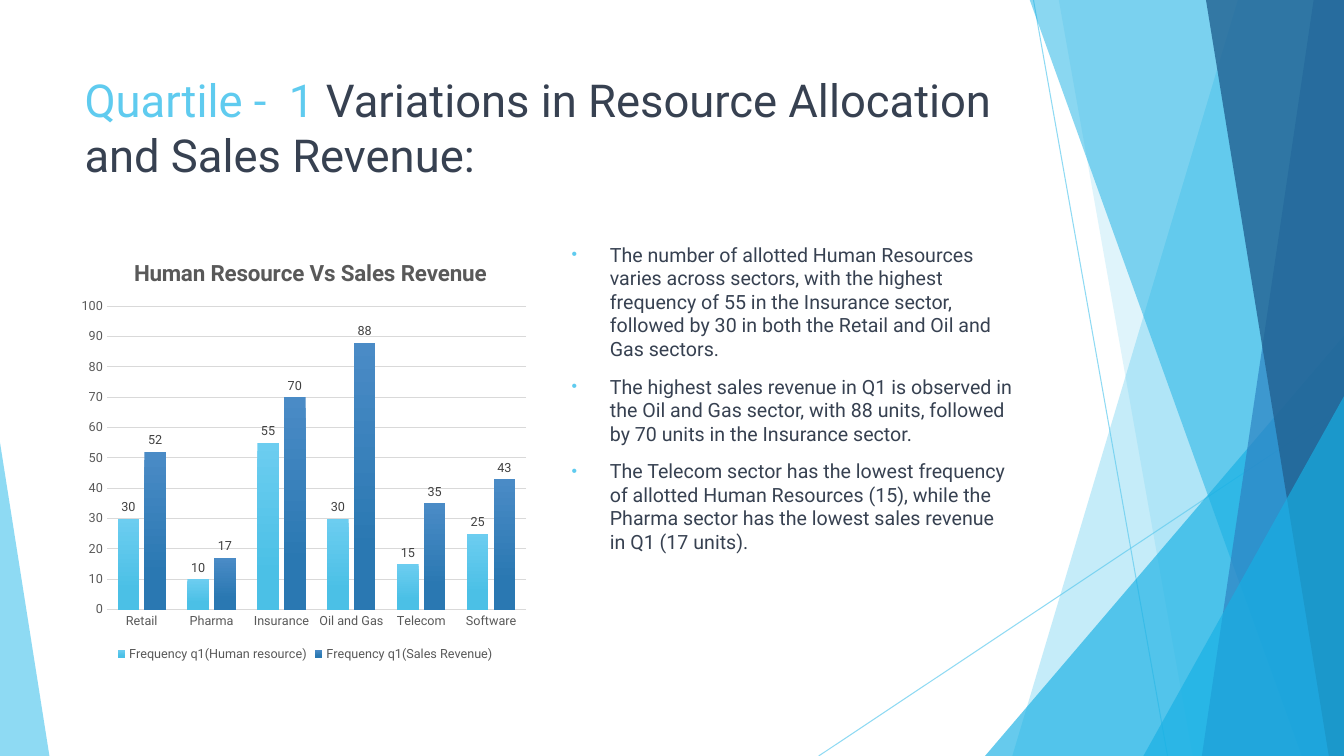
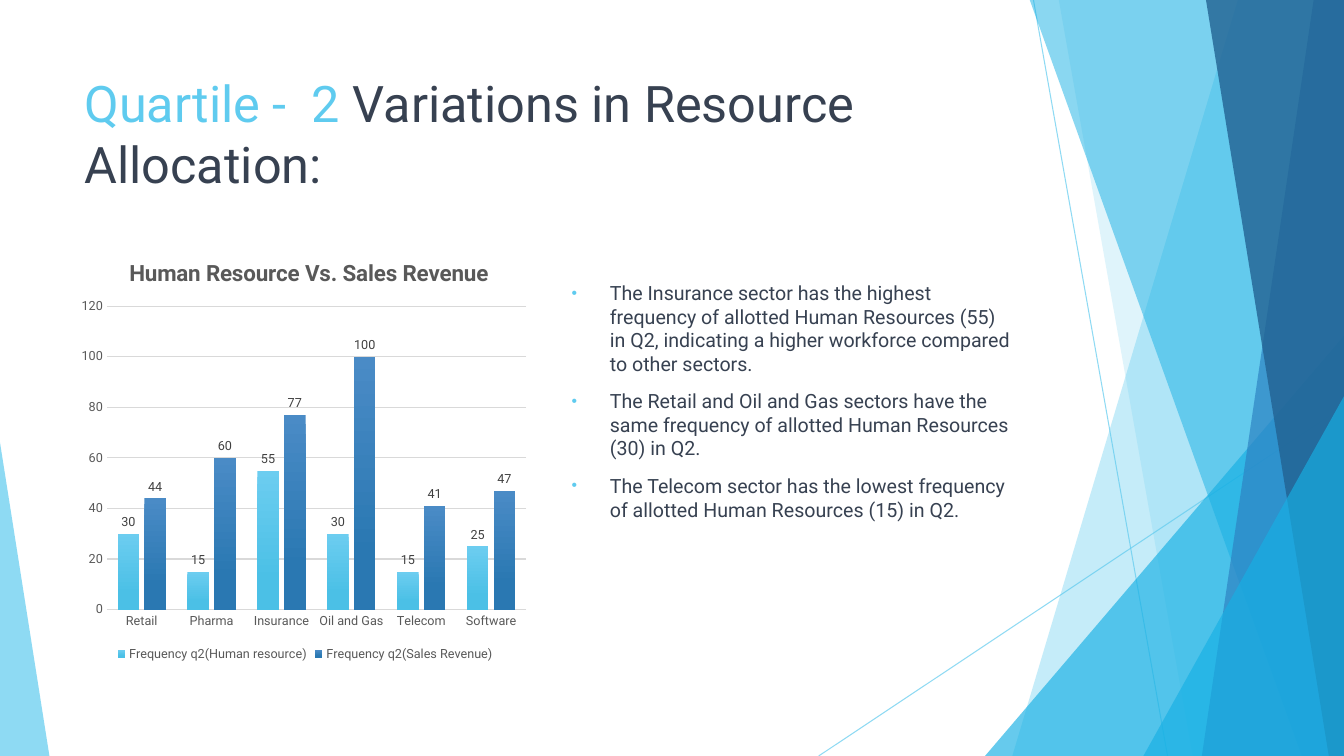
from pptx import Presentation
from pptx.chart.data import CategoryChartData
from pptx.dml.color import RGBColor
from pptx.enum.chart import XL_CHART_TYPE as ChartType, XL_LABEL_POSITION as LabelPos
from pptx.enum.chart import XL_LEGEND_POSITION as LegendPos, XL_TICK_MARK as Tick
from pptx.enum.shapes import MSO_CONNECTOR as Connector, MSO_SHAPE as Shape
from pptx.oxml.ns import qn
from pptx.util import Inches, Pt
from lxml.etree import SubElement

FONT = "Roboto"
SKY = RGBColor(0x5F, 0xCB, 0xEF)
CYAN = RGBColor(0x17, 0xB0, 0xE4)
BLUE = RGBColor(0x2E, 0x83, 0xC3)
NAVY = RGBColor(0x22, 0x62, 0x92)
INK = RGBColor(0x37, 0x41, 0x51)
GREY = RGBColor(0x59, 0x59, 0x59)
LABEL = RGBColor(0x40, 0x40, 0x40)
RULE = RGBColor(0xD9, 0xD9, 0xD9)
SERIES_GRADIENTS = [
    (RGBColor(0x6C, 0xCD, 0xF0), RGBColor(0x4B, 0xC0, 0xE6)),
    (RGBColor(0x4A, 0x8B, 0xC6), RGBColor(0x2A, 0x78, 0xB2)),
]
WIDTH, HEIGHT, BLEED = 13.33, 7.5, -0.01
LEFT, CONTENT_TOP, CONTENT_HEIGHT = 0.74, 2.36, 4.24
SECTORS = ["Retail", "Pharma", "Insurance", "Oil and Gas", "Telecom", "Software"]

QUARTERS = [
    {
        "number": 1, "title": "Variations in Resource Allocation and Sales Revenue:",
        "title_size": 32.4, "chart_title": "Human Resource Vs Sales Revenue",
        "chart_title_x": 0.12, "axis": (100, 10), "findings_top": CONTENT_TOP,
        "staff": [30, 10, 55, 30, 15, 25], "sales": [52, 17, 70, 88, 35, 43],
        "findings": [
            "The number of allotted Human Resources varies across sectors, with the highest frequency of 55 in the Insurance sector, followed by 30 in both the Retail and Oil and Gas sectors.",
            "The highest sales revenue in Q1 is observed in the Oil and Gas sector, with 88 units, followed by 70 units in the Insurance sector.",
            "The Telecom sector has the lowest frequency of allotted Human Resources (15), while the Pharma sector has the lowest sales revenue in Q1 (17 units).",
        ],
    },
    {
        "number": 2, "title": "Variations in Resource Allocation:",
        "title_size": 36, "chart_title": "Human Resource Vs. Sales Revenue",
        "chart_title_x": 0.11, "axis": (120, 20), "findings_top": 2.74,
        "staff": [30, 15, 55, 30, 15, 25], "sales": [44, 60, 77, 100, 41, 47],
        "findings": [
            "The Insurance sector has the highest frequency of allotted Human Resources (55) in Q2, indicating a higher workforce compared to other sectors.",
            "The Retail and Oil and Gas sectors have the same frequency of allotted Human Resources (30) in Q2.",
            "The Telecom sector has the lowest frequency of allotted Human Resources (15) in Q2.",
        ],
    },
]


def set_font(font, size, color, bold=False):
    font.name, font.size, font.bold = FONT, Pt(size), bold
    font.color.rgb = color


def set_alpha(element, percent):
    for color in element.spPr.iter(qn("a:srgbClr")):
        SubElement(color, qn("a:alpha"), val=str(percent * 1000))


def set_layout(parent, index, **values):
    layout = parent.find(qn("c:layout"))
    if layout is not None:
        parent.remove(layout)
    layout = parent.makeelement(qn("c:layout"), {})
    parent.insert(index, layout)
    manual = SubElement(layout, qn("c:manualLayout"))
    if "w" in values:
        SubElement(manual, qn("c:layoutTarget"), val="inner")
    for mode in ("xMode", "yMode"):
        SubElement(manual, qn(f"c:{mode}"), val="edge")
    for name, value in values.items():
        SubElement(manual, qn(f"c:{name}"), val=str(value))


class Deck:
    """Holds the faceted style and the slide being filled."""

    def __init__(self):
        self.prs = Presentation()
        self.prs.slide_width, self.prs.slide_height = Inches(WIDTH), Inches(HEIGHT)
        self.slide = None

    def new_slide(self):
        self.slide = self.prs.slides.add_slide(self.prs.slide_layouts[6])
        self.ray(10.25, 0, 11.58, HEIGHT)
        self.ray(WIDTH, 4.03, 8.12, HEIGHT)
        self.wedge(12.28, 10.04, SKY, 36)
        self.wedge(10.5, 11.83, SKY, 20)
        self.triangle(9.77, 3.33, 3.56, 1, CYAN, 66)
        self.wedge(10.21, 12.91, CYAN, 50)
        self.wedge(13.03, 11.92, BLUE, 70)
        self.wedge(11.96, 13.18, NAVY, 80)
        self.triangle(11.34, 3.93, 1.99, 1, CYAN, 66)
        self.triangle(0, 4.39, 0.49, 0, SKY, 70)

    def ray(self, *ends):
        ray = self.slide.shapes.add_connector(Connector.STRAIGHT, *map(Inches, ends))
        ray.line.color.rgb, ray.line.width = SKY, Pt(0.75)
        set_alpha(ray._element, 70)
        SubElement(ray._element.spPr, qn("a:effectLst"))

    def paint(self, facet, color, opacity):
        facet.shadow.inherit = False
        facet.fill.solid()
        facet.fill.fore_color.rgb = color
        facet.line.fill.background()
        set_alpha(facet._element, opacity)

    def wedge(self, top_x, bottom_x, color, opacity):
        outline = self.slide.shapes.build_freeform(Inches(top_x), Inches(BLEED))
        corners = [(WIDTH, BLEED), (WIDTH, HEIGHT), (bottom_x, HEIGHT)]
        outline.add_line_segments([(Inches(x), Inches(y)) for x, y in corners])
        self.paint(outline.convert_to_shape(), color, opacity)

    def triangle(self, left, top, width, apex, color, opacity):
        box = map(Inches, (left, top, width, HEIGHT - top))
        facet = self.slide.shapes.add_shape(Shape.ISOSCELES_TRIANGLE, *box)
        facet.adjustments[0] = apex
        self.paint(facet, color, opacity)

    def text_frame(self, *box):
        frame = self.slide.shapes.add_textbox(*map(Inches, box)).text_frame
        frame.word_wrap = True
        return frame

    def add_run(self, paragraph, text, size, color):
        run = paragraph.add_run()
        run.text = text
        set_font(run.font, size, color)

    def title(self, number, text, size):
        heading = self.text_frame(LEFT, 0.67, 9.4, 1.44).paragraphs[0]
        self.add_run(heading, f"Quartile -  {number} ", size, SKY)
        self.add_run(heading, text, size, INK)

    def findings(self, top, items):
        frame = self.text_frame(5.57, top, 4.58, CONTENT_TOP + CONTENT_HEIGHT - top)
        for index, item in enumerate(items):
            finding = frame.add_paragraph() if index else frame.paragraphs[0]
            props = finding._p.get_or_add_pPr()
            props.set("marL", str(Inches(0.38)))
            props.set("indent", str(-Inches(0.38)))
            bullet_color = SubElement(props, qn("a:buClr"))
            SubElement(bullet_color, qn("a:srgbClr"), val=str(SKY))
            SubElement(props, qn("a:buSzPct"), val="80000")
            SubElement(props, qn("a:buFont"), typeface="Arial")
            SubElement(props, qn("a:buChar"), char="•")
            if index:
                finding.space_before = Pt(10)
            self.add_run(finding, item, 14, INK)

    def column_chart(self, title, title_x, axis_scale, series):
        data = CategoryChartData()
        data.categories = SECTORS
        for name, values in series:
            data.add_series(name, values)
        box = map(Inches, (LEFT, CONTENT_TOP, 4.57, CONTENT_HEIGHT))
        chart = self.slide.shapes.add_chart(ChartType.COLUMN_CLUSTERED, *box, data).chart
        set_font(chart.font, 10, GREY)

        chart.has_title = True
        heading = chart.chart_title.text_frame.paragraphs[0].add_run()
        heading.text = title
        set_font(heading.font, 16, GREY, bold=True)
        set_layout(chart.chart_title._element, 1, x=title_x, y=0.04)
        set_layout(chart._chartSpace.chart.plotArea, 0, x=0.07, y=0.16, w=0.91, h=0.71)

        chart.has_legend = True
        chart.legend.position = LegendPos.BOTTOM
        chart.legend.include_in_layout = False
        set_font(chart.legend.font, 9, GREY)

        sectors, amounts = chart.category_axis, chart.value_axis
        for axis in (sectors, amounts):
            axis.major_tick_mark = axis.minor_tick_mark = Tick.NONE
            set_font(axis.tick_labels.font, 9, GREY)
        sectors.format.line.color.rgb, sectors.format.line.width = RULE, Pt(1)
        amounts.format.line.fill.background()
        amounts.minimum_scale = 0
        amounts.maximum_scale, amounts.major_unit = axis_scale
        grid = amounts.major_gridlines.format.line
        grid.color.rgb, grid.width = RULE, Pt(0.75)

        plot = chart.plots[0]
        plot.gap_width, plot.overlap, plot.vary_by_categories = 100, -24, False
        plot.has_data_labels = True
        plot.data_labels.show_value = True
        plot.data_labels.position = LabelPos.OUTSIDE_END
        set_font(plot.data_labels.font, 9, LABEL)
        for columns, colors in zip(plot.series, SERIES_GRADIENTS):
            fill = columns.format.fill
            fill.gradient()
            fill.gradient_angle = 270
            for stop, color, position in zip(fill.gradient_stops, colors, (0, 0.78)):
                stop.color.rgb, stop.position = color, position


def main():
    deck = Deck()
    for quarter in QUARTERS:
        number = quarter["number"]
        deck.new_slide()
        deck.title(number, quarter["title"], quarter["title_size"])
        series = [
            (f"Frequency q{number}(Human resource)", quarter["staff"]),
            (f"Frequency q{number}(Sales Revenue)", quarter["sales"]),
        ]
        deck.column_chart(quarter["chart_title"], quarter["chart_title_x"], quarter["axis"], series)
        deck.findings(quarter["findings_top"], quarter["findings"])
    deck.prs.save("out.pptx")


if __name__ == "__main__":
    main()
